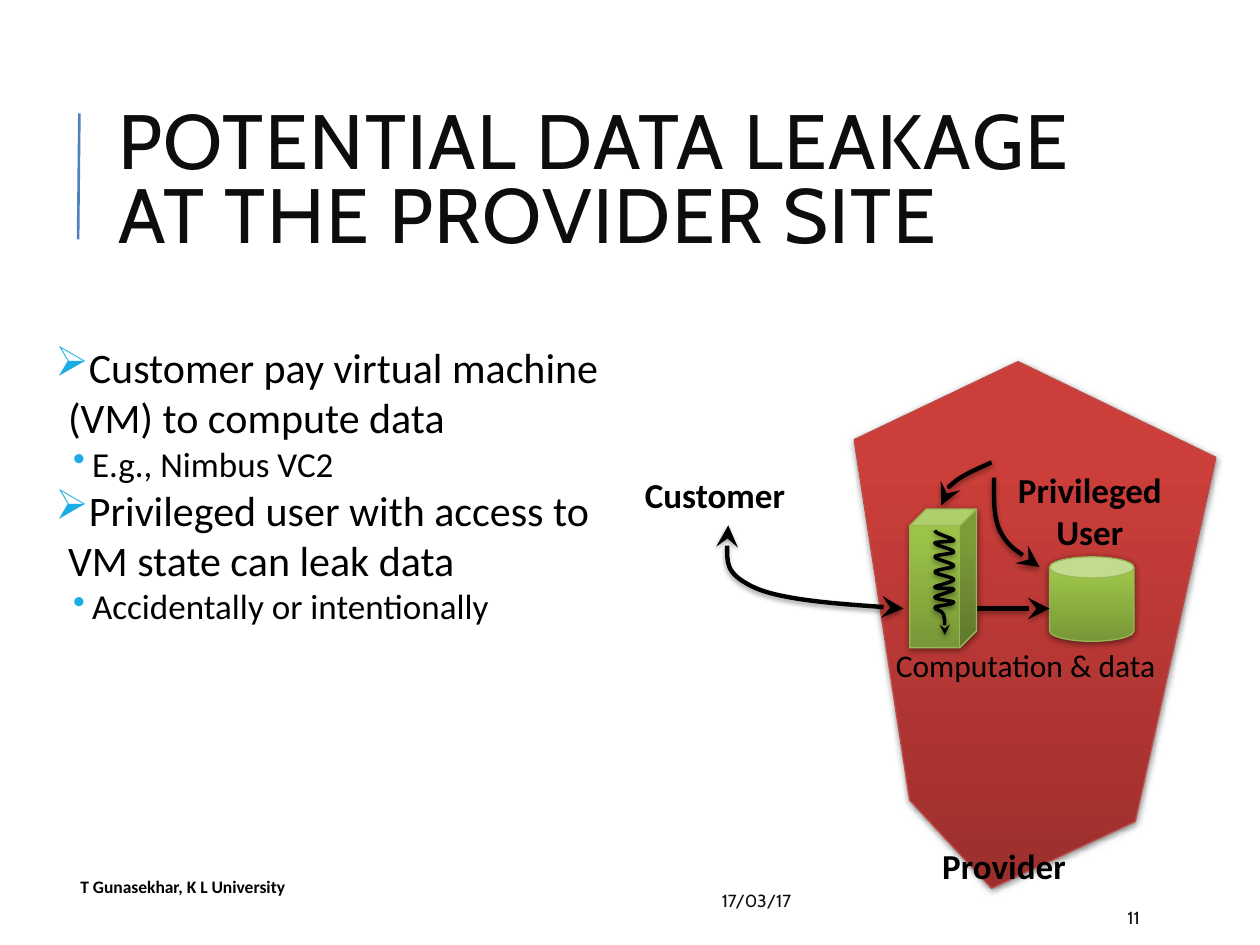
import pptx
import pptx.dml.color
import pptx.enum.shapes
import pptx.enum.text
import pptx.oxml
import pptx.oxml.ns
import pptx.util
from lxml import etree

Inches = pptx.util.Inches
Pt = pptx.util.Pt
Shape = pptx.enum.shapes.MSO_SHAPE
Anchor = pptx.enum.text.MSO_ANCHOR
Align = pptx.enum.text.PP_ALIGN
qn = pptx.oxml.ns.qn

COLORS = {
    "black": "000000", "ink": "0D0D0D", "accent": "4F81BD", "bullet": "1CADE4",
    "red_dark": "9C2F2D", "red": "CB3E3A", "red_line": "BE4B48",
    "green_dark": "779737", "green": "9BC348", "green_line": "98B855",
}
SHAPE_SHADOW = {"blur": 4, "distance": 1, "alpha": 50}
LINE_SHADOW = {"blur": 3.1, "distance": 1.6, "alpha": 38}
BODY = {"name": "Calibri", "size": Pt(20)}
LABEL = {**BODY, "bold": True}
SMALL = {"name": "Cabin", "size": Pt(10)}


class SlideBuilder:
    """Hold the colours and the current slide, and draw each kind of element."""

    def __init__(self, slide, colors):
        self.slide = slide
        self.colors = colors

    def color(self, name):
        return pptx.dml.color.RGBColor.from_string(self.colors[name])

    def outline(self, shape, color, width, ends=(), size="lg"):
        shape.line.color.rgb = self.color(color)
        shape.line.width = Pt(width)
        for end in ends:
            etree.SubElement(shape.line._get_or_add_ln(), qn(f"a:{end}"), type="stealth", w=size, len=size)

    def shadow(self, shape, blur, distance, alpha):
        effects = etree.SubElement(shape._element.spPr, qn("a:effectLst"))
        outer = etree.SubElement(effects, qn("a:outerShdw"), blurRad=str(Pt(blur)),
                                 dist=str(Pt(distance)), dir="5400000", rotWithShape="0")
        tone = etree.SubElement(outer, qn("a:srgbClr"), val=self.colors["black"])
        etree.SubElement(tone, qn("a:alpha"), val=str(alpha * 1000))

    def solid(self, shape, tint):
        shape.fill.gradient()
        shape.fill.gradient_angle = 90
        for stop, name, position in zip(shape.fill.gradient_stops, (f"{tint}_dark", tint), (0, 0.8)):
            stop.color.rgb = self.color(name)
            stop.position = position
        self.outline(shape, f"{tint}_line", 0.75)
        self.shadow(shape, **SHAPE_SHADOW)

    def preset(self, kind, box, tint):
        shape = self.slide.shapes.add_shape(kind, *map(Inches, box))
        shape.adjustments[0] = 0.25
        self.solid(shape, tint)

    def freeform(self, points, close):
        builder = self.slide.shapes.build_freeform(*points[0], scale=Inches(1))
        builder.add_line_segments(points[1:], close=close)
        return builder.convert_to_shape()

    def polygon(self, points, tint):
        scaled = [tuple(map(Inches, point)) for point in points]
        builder = self.slide.shapes.build_freeform(*scaled[0])
        builder.add_line_segments(scaled[1:], close=True)
        self.solid(builder.convert_to_shape(), tint)

    def curve(self, points, ends=("tailEnd",), width=2.5, size="lg"):
        scaled = [tuple(map(Inches, point)) for point in points]
        builder = self.slide.shapes.build_freeform(*scaled[0])
        builder.add_line_segments(scaled[1:], close=False)
        shape = builder.convert_to_shape()
        path = shape._element.find(".//" + qn("a:path"))
        segments = path.findall(qn("a:lnTo"))
        for start in range(0, len(segments), 3):
            bezier = etree.SubElement(path, qn("a:cubicBezTo"))
            for segment in segments[start:start + 3]:
                bezier.append(segment[0])
                path.remove(segment)
        shape.fill.background()
        self.outline(shape, "black", width, ends, size)
        self.shadow(shape, **LINE_SHADOW)

    def line(self, start, end, color, width, ends=()):
        connector = self.slide.shapes.add_connector(
            pptx.enum.shapes.MSO_CONNECTOR.STRAIGHT, *map(Inches, start + end))
        self.outline(connector, color, width, ends)
        if ends:
            self.shadow(connector, **LINE_SHADOW)
        else:
            etree.SubElement(connector._element.spPr, qn("a:effectLst"))

    def bullet(self, paragraph, level, char, margin, indent):
        paragraph.level = level
        properties = paragraph._p.get_or_add_pPr()
        properties.set("marL", str(Inches(margin)))
        properties.set("indent", str(Inches(indent)))
        tone = etree.SubElement(properties, qn("a:buClr"))
        etree.SubElement(tone, qn("a:srgbClr"), val=self.colors["bullet"])
        etree.SubElement(properties, qn("a:buChar"), char=char)

    def run(self, paragraph, text, font, color, spacing=None):
        run = paragraph.add_run()
        run.text = text
        for name, value in font.items():
            setattr(run.font, name, value)
        run.font.color.rgb = self.color(color)
        if spacing:
            run._r.get_or_add_rPr().set("spc", str(spacing))

    def frame(self, box, **frame_format):
        frame = self.slide.shapes.add_textbox(*map(Inches, box)).text_frame
        for name, value in {"word_wrap": True, **frame_format}.items():
            setattr(frame, name, value)
        return frame

    def text(self, box, lines, font, color="black", paragraph_format=None, spacing=None, **frame_format):
        frame = self.frame(box, **frame_format)
        for index, line in enumerate(lines):
            paragraph = frame.add_paragraph() if index else frame.paragraphs[0]
            for name, value in (paragraph_format or {}).items():
                setattr(paragraph, name, value)
            self.run(paragraph, line, font, color, spacing)

    def bullets(self, box, items):
        levels = [("➢", 0.1, -0.1, 24), ("•", 0.29, -0.15, 20)]
        frame = self.frame(box, margin_left=Inches(0.05), margin_right=Inches(0.05))
        for index, (level, text) in enumerate(items):
            paragraph = frame.add_paragraph() if index else frame.paragraphs[0]
            char, margin, indent, size = levels[level]
            self.bullet(paragraph, level, char, margin, indent)
            self.run(paragraph, text, {**BODY, "size": Pt(size)}, "black")


def main():
    presentation = pptx.Presentation()
    presentation.slide_width = Inches(10)
    presentation.slide_height = Inches(7.5)
    slide = presentation.slides.add_slide(presentation.slide_layouts[6])
    builder = SlideBuilder(slide, COLORS)
    centered = {"alignment": Align.CENTER}
    middle = {"vertical_anchor": Anchor.MIDDLE}

    builder.line((0.62, 1.9), (0.63, 0.9), "accent", 1.5)
    builder.text((0.84, 0.64, 7.97, 1.64), ["POTENTIAL DATA LEAKAGE AT THE PROVIDER SITE"],
                 {"name": "Cabin", "size": Pt(44)}, "ink", {"line_spacing": 0.8}, 90, **middle)
    builder.bullets((0.39, 2.66, 4.49, 3.56), [
        (0, "Customer pay virtual machine (VM) to compute data"),
        (1, "E.g., Nimbus VC2"),
        (0, "Privileged user with access to VM state can leak data"),
        (1, "Accidentally or intentionally"),
    ])
    builder.text((5.63, 6.92, 1.65, 0.46), ["17/03/17"], SMALL, "ink", **middle)
    builder.text((8.85, 7.13, 0.8, 0.3), ["11"], SMALL, "ink", **middle)

    builder.polygon([(6.78, 3.49), (7.22, 6.35), (7.87, 7.05), (9.01, 6.52), (9.65, 3.63), (8.08, 2.87)], "red")
    builder.preset(Shape.CAN, (8.33, 4.42, 0.67, 0.67), "green")
    builder.line((7.75, 4.83), (8.33, 4.83), "black", 2.5, ("tailEnd",))
    builder.text((6.83, 5.08, 2.62, 0.7), ["Computation & data"], {**BODY, "size": Pt(18)}, "black", centered)
    builder.curve([(5.78, 4.17), (5.76, 4.36), (5.75, 4.55), (5.98, 4.66), (6.21, 4.77), (7.17, 4.83),
                   (7.17, 4.83)], ("headEnd", "tailEnd"))
    builder.text((5.02, 3.71, 1.7, 0.43), ["Customer"], LABEL, word_wrap=False)
    builder.text((7.38, 6.65, 1.53, 0.43), ["Provider"], LABEL, word_wrap=False)
    builder.text((7.76, 3.67, 1.78, 0.77), ["Privileged", "User"], LABEL, "black", centered, word_wrap=False)
    builder.curve([(7.87, 3.67), (7.76, 3.72), (7.64, 3.77), (7.57, 3.83), (7.5, 3.89), (7.49, 3.95), (7.47, 4.01)])
    builder.curve([(7.89, 3.79), (7.89, 3.95), (7.88, 4.1), (7.94, 4.22), (8, 4.33), (8.13, 4.42), (8.25, 4.5)])

    builder.preset(Shape.CUBE, (7.22, 4.04, 0.53, 1.1), "green")
    left, right = 7.42, 7.57
    coil = [(left, 4.21)]
    turns = [(4.24, 4.27, 4.29), (4.3, 4.3, 4.31), (4.33, 4.36, 4.38), (4.4, 4.4, 4.42), (4.44, 4.47, 4.49),
             (4.51, 4.52, 4.54), (4.56, 4.58, 4.6), (4.62, 4.65, 4.66), (4.68, 4.66, 4.68), (4.69, 4.73, 4.74),
             (4.76, 4.77, 4.78), (4.8, 4.81, 4.82)]
    for index, (leave, approach, arrive) in enumerate(turns):
        start, end = (right, left) if index % 2 else (left, right)
        coil += [(start, leave), (end, approach), (end, arrive)]
    coil += [(7.41, 4.84), (7.48, 4.84), (7.49, 4.88), (7.5, 4.91), (7.5, 5.04), (7.5, 5.04)]
    builder.curve(coil, width=2, size="med")

    builder.text((0.54, 6.92, 4.22, 0.25), ["T Gunasekhar, K L University"], {**LABEL, "size": Pt(10)},
                 vertical_anchor=Anchor.BOTTOM)
    presentation.save("out.pptx")


if __name__ == "__main__":
    main()
